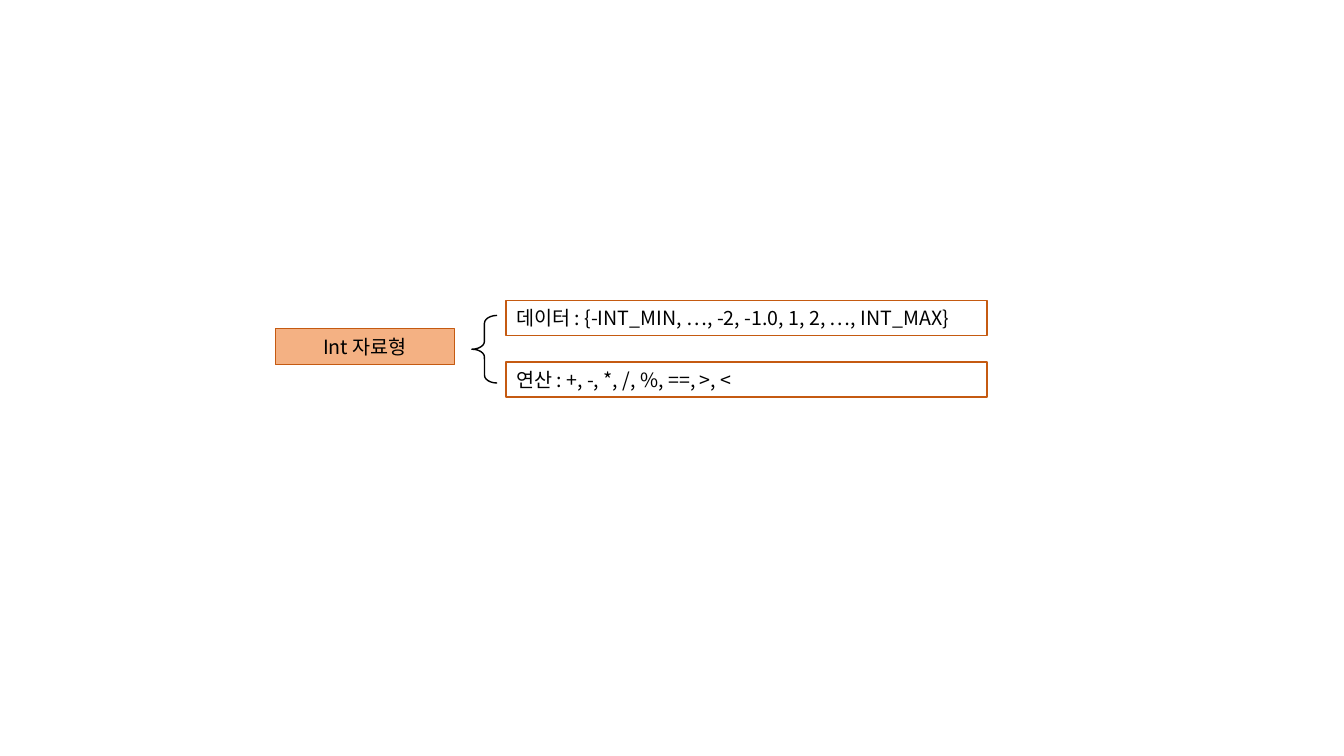
from dataclasses import dataclass

from lxml import etree
from pptx import Presentation
from pptx.dml.color import RGBColor
from pptx.enum.shapes import MSO_SHAPE
from pptx.enum.text import MSO_ANCHOR, PP_ALIGN
from pptx.oxml.ns import qn
from pptx.util import Inches, Pt

RECTANGLE, LEFT_BRACE = MSO_SHAPE.RECTANGLE, MSO_SHAPE.LEFT_BRACE
MIDDLE = MSO_ANCHOR.MIDDLE
LEFT, CENTER = PP_ALIGN.LEFT, PP_ALIGN.CENTER
BLANK_LAYOUT = 6
GRID_UNIT = 0.1  # inches per column and per row


@dataclass(frozen=True)
class Theme:
    """Colours, font and sizes of the slide."""
    accent: RGBColor = RGBColor(0xC5, 0x5A, 0x11)
    accent_light: RGBColor = RGBColor(0xF4, 0xB1, 0x83)
    ink: RGBColor = RGBColor(0, 0, 0)
    font: str = "Noto Sans CJK KR"
    text_size: Pt = Pt(14)
    line_width: Pt = Pt(1)


class SlideBuilder:
    """Draws styled elements on one slide, placed in grid units."""

    def __init__(self, slide, theme):
        """Keep the slide and its theme."""
        self.slide = slide
        self.theme = theme

    def add_outline(self, preset, area, line_color, fill_color=None):
        """Add a preset shape over (column, row, columns, rows)."""
        shape = self.slide.shapes.add_shape(
            preset, *(Inches(length * GRID_UNIT) for length in area))
        shape.shadow.inherit = False
        shape.line.color.rgb = line_color
        shape.line.width = self.theme.line_width
        if fill_color is None:
            shape.fill.background()
        else:
            shape.fill.solid()
            shape.fill.fore_color.rgb = fill_color
        return shape

    def add_box(self, area, text, alignment=LEFT, fill_color=None):
        """Add an accent-framed box with one line of text."""
        shape = self.add_outline(RECTANGLE, area, self.theme.accent, fill_color)
        frame = shape.text_frame
        frame.word_wrap = True
        frame.vertical_anchor = MIDDLE
        paragraph = frame.paragraphs[0]
        paragraph.alignment = alignment
        run = paragraph.add_run()
        run.text = text
        run.font.size = self.theme.text_size
        run.font.name = self.theme.font
        run.font.color.rgb = self.theme.ink
        east_asian = etree.SubElement(run.font._element, qn("a:ea"))
        east_asian.set("typeface", self.theme.font)

    def add_brace(self, area, curve):
        """Add a left brace whose point is at mid height."""
        brace = self.add_outline(LEFT_BRACE, area, self.theme.ink)
        brace.adjustments[0] = curve
        brace.adjustments[1] = 0.5


def main():
    """Build the data type diagram and save it."""
    presentation = Presentation()
    presentation.slide_width = Inches(13.33)
    presentation.slide_height = Inches(7.5)
    slide = presentation.slides.add_slide(
        presentation.slide_layouts[BLANK_LAYOUT])
    theme = Theme()
    builder = SlideBuilder(slide, theme)

    builder.add_box((27.3, 32.6, 17.8, 3.6), "Int 자료형", CENTER,
                    theme.accent_light)
    builder.add_brace((46.8, 31.3, 2.5, 6.7), curve=0.31)
    members = ("데이터 : {-INT_MIN, …, -2, -1.0, 1, 2, …, INT_MAX}",
               "연산 : +, -, *, /, %, ==, >, <")
    first_row, row_step = 29.8, 6.1
    for index, text in enumerate(members):
        builder.add_box((50.2, first_row + index * row_step, 47.7, 3.5), text)

    presentation.save("out.pptx")


main()
